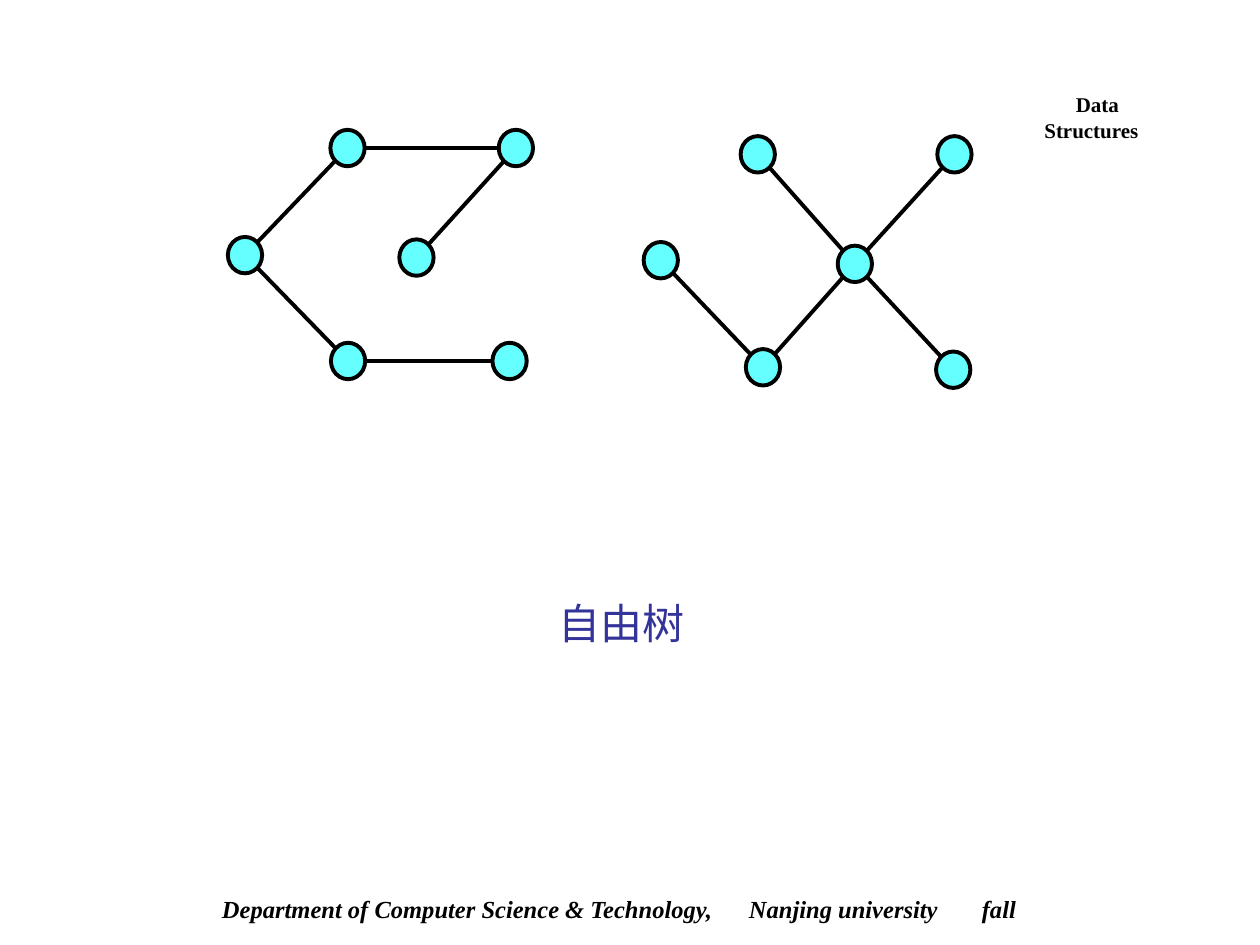
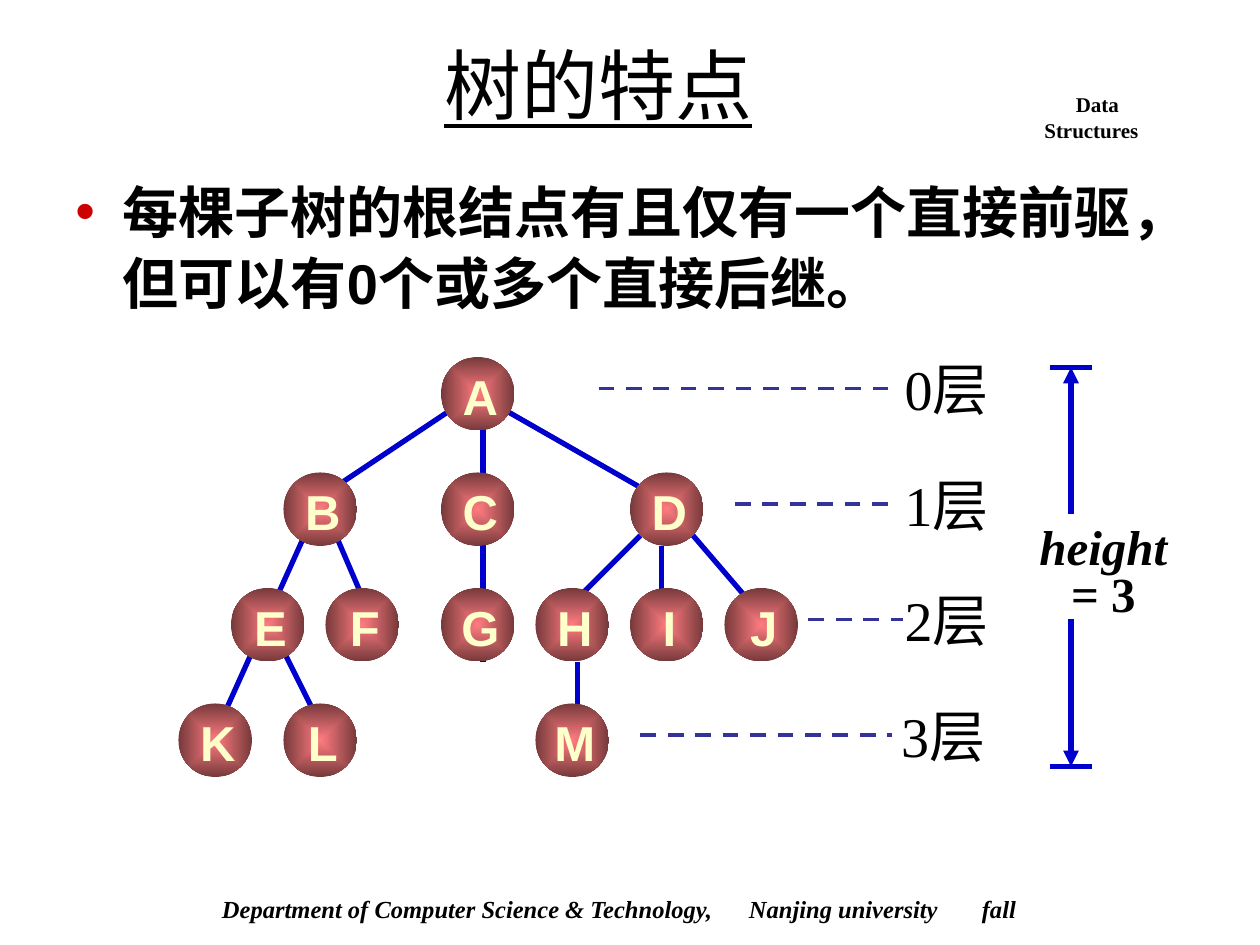
import dataclasses
import math

import lxml.etree
import pptx
import pptx.dml.color
import pptx.enum.dml
import pptx.enum.shapes
import pptx.enum.text
import pptx.oxml.ns
import pptx.util

Pt = pptx.util.Pt
RGB = pptx.dml.color.RGBColor.from_string
qn = pptx.oxml.ns.qn
SubElement = lxml.etree.SubElement
ALIGN = pptx.enum.text.PP_ALIGN
ANCHOR = pptx.enum.text.MSO_ANCHOR
OVAL = pptx.enum.shapes.MSO_SHAPE.OVAL


@dataclasses.dataclass(frozen=True)
class Theme:
    sans: str = "Arial"
    serif: str = "Times New Roman"
    ink: str = "000000"
    caption: str = "333399"
    node: str = "66FFFF"
    glow: str = "FF7C80"
    rim: str = "76393B"
    letter: str = "FFFFCC"
    branch: str = "0000CC"
    bullet: str = "CC0000"
    header_size: int = 12
    footer_size: int = 14
    caption_size: int = 24
    label_size: int = 28
    body_size: int = 32
    title_size: int = 44
    thin: float = 2.25
    thick: float = 3


theme = Theme()


def write_text(tf, text, size, font=theme.serif, color=theme.ink, bold=False, italic=False,
               underline=False, align=ALIGN.LEFT, anchor=ANCHOR.TOP, wrap=True, spacing=None):
    tf.word_wrap = wrap
    tf.auto_size = pptx.enum.text.MSO_AUTO_SIZE.NONE
    tf.vertical_anchor = anchor
    for i, line in enumerate(text.split("\n")):
        p = tf.add_paragraph() if i else tf.paragraphs[0]
        p.alignment = align
        p.line_spacing = spacing
        r = p.add_run()
        r.text = line
        r.font.name = font
        r.font.size = Pt(size)
        r.font.color.rgb = RGB(color)
        r.font.bold = bold
        r.font.italic = italic
        r.font.underline = underline


def add_line(s, x1, y1, x2, y2, color, width, dashed=False, arrow=False):
    line = s.shapes.add_connector(pptx.enum.shapes.MSO_CONNECTOR.STRAIGHT,
                                  Pt(x1), Pt(y1), Pt(x2), Pt(y2))
    line.line.color.rgb = RGB(color)
    line.line.width = Pt(width)
    if dashed:
        line.line.dash_style = pptx.enum.dml.MSO_LINE.DASH
    if arrow:
        SubElement(line.line._get_or_add_ln(), qn("a:tailEnd"), type="triangle")
    SubElement(line.element.spPr, qn("a:effectLst"))


prs = pptx.Presentation()
prs.slide_width, prs.slide_height = Pt(720), Pt(540)

titles = [
    ("自由树", (31, 337.7, 648, 51), theme.caption_size, theme.caption, False),
    ("树的特点", (36, 18, 612, 54), theme.title_size, theme.ink, True),
]
for title, (x, y, w, h), size, color, underline in titles:
    s = prs.slides.add_slide(prs.slide_layouts[5])
    sp = s.shapes.title
    sp.left, sp.top, sp.width, sp.height = Pt(x), Pt(y), Pt(w), Pt(h)
    write_text(sp.text_frame, title, size, font=theme.sans, color=color,
               underline=underline, align=ALIGN.CENTER)

    header = s.shapes.add_textbox(Pt(589.7), Pt(49), Pt(99.4), Pt(36)).text_frame
    write_text(header, "Data\nStructures", theme.header_size, bold=True)
    header.paragraphs[0]._p.get_or_add_pPr().set("marL", str(Pt(18)))

    footer = s.shapes.add_textbox(Pt(59), Pt(507.6), Pt(600.5), Pt(24.5)).text_frame
    write_text(footer, "Department of Computer Science & Technology,\tNanjing university\tfall",
               theme.footer_size, bold=True, italic=True)
    footer.margin_left = Pt(67.9)
    tabs = SubElement(footer.paragraphs[0]._p.get_or_add_pPr(), qn("a:tabLst"))
    for stop in (301.1, 434.2):
        SubElement(tabs, qn("a:tab"), pos=str(Pt(stop)), algn="l")

free_slide, tree_slide = prs.slides

free_nodes = {
    "left top right": (294.8, 84.6), "left top": (198.6, 84.6), "left end": (140, 145.8),
    "left inner": (238, 147.2), "left bottom": (198.9, 206.3), "left bottom right": (291.2, 206.3),
    "right top": (433, 88.2), "right end": (377.6, 148.7), "right bottom": (436, 209.9),
    "right top right": (545.4, 88.2), "right hub": (488.5, 150.8), "right bottom right": (544.7, 211.3),
}
free_edges = [
    ("left top", "left top right"), ("left top", "left end"), ("left top right", "left inner"),
    ("left end", "left bottom"), ("left bottom", "left bottom right"),
    ("right bottom", "right hub"), ("right top", "right hub"), ("right end", "right bottom"),
    ("right hub", "right bottom right"), ("right top right", "right hub"),
]
trim = 9
for start, end in free_edges:
    (x1, y1), (x2, y2) = free_nodes[start], free_nodes[end]
    length = math.hypot(x2 - x1, y2 - y1)
    dx, dy = trim * (x2 - x1) / length, trim * (y2 - y1) / length
    add_line(free_slide, x1 + dx, y1 + dy, x2 - dx, y2 - dy, theme.ink, theme.thin)

node_w, node_h = 19.6, 20.8
for x, y in free_nodes.values():
    sp = free_slide.shapes.add_shape(OVAL, Pt(x - node_w / 2), Pt(y - node_h / 2),
                                     Pt(node_w), Pt(node_h))
    sp.shadow.inherit = False
    sp.fill.solid()
    sp.fill.fore_color.rgb = RGB(theme.node)
    sp.line.color.rgb = RGB(theme.ink)
    sp.line.width = Pt(theme.thin)

body = tree_slide.shapes.add_textbox(Pt(36), Pt(96), Pt(642), Pt(102)).text_frame
write_text(body, "每棵子树的根结点有且仅有一个直接前驱，但可以有0个或多个直接后继。",
           theme.body_size, font=theme.sans, bold=True, spacing=1.05)
pPr = body.paragraphs[0]._p.get_or_add_pPr()
pPr.set("marL", str(Pt(27)))
pPr.set("indent", str(Pt(-27)))
SubElement(SubElement(pPr, qn("a:buClr")), qn("a:srgbClr"), val=theme.bullet)
SubElement(pPr, qn("a:buFont"), typeface=theme.sans)
SubElement(pPr, qn("a:buChar"), char="•")

branches = [
    (396, 306, 432, 348), (366, 306, 330, 342), (378, 312, 378, 342), (330, 378, 330, 414),
    (288, 234, 372, 282), (258, 234, 186, 282), (276, 240, 276, 378), (192, 306, 210, 348),
    (162, 372, 180, 408), (174, 306, 120, 426),
]
for branch in branches:
    add_line(tree_slide, *branch, theme.branch, theme.thick)

levels = [
    ({"A": 252}, 342, 510, 506),
    ({"B": 162, "C": 252, "D": 360}, 420, 510, 506),
    ({"E": 132, "F": 186, "G": 252, "H": 306, "I": 360, "J": 414}, 462, 516, 506),
    ({"K": 102, "L": 162, "M": 306}, 366, 510, 504),
]
first_top, pitch, diameter = 204, 66, 42
for level, (nodes, dash_start, dash_end, label_left) in enumerate(levels):
    top = first_top + level * pitch
    for letter, left in nodes.items():
        sp = tree_slide.shapes.add_shape(OVAL, Pt(left), Pt(top), Pt(diameter), Pt(diameter))
        sp.shadow.inherit = False
        sp.line.fill.background()
        sp.fill.gradient()
        for stop, color in zip(sp.fill.gradient_stops, (theme.glow, theme.rim)):
            stop.color.rgb = RGB(color)
        grad = sp.element.spPr.find(qn("a:gradFill"))
        grad.remove(grad.find(qn("a:lin")))
        focus = SubElement(grad, qn("a:path"))
        focus.set("path", "rect")
        SubElement(focus, qn("a:fillToRect"), l="50000", t="50000", r="50000", b="50000")
        tf = sp.text_frame
        tf.margin_left, tf.margin_right, tf.margin_top, tf.margin_bottom = Pt(3), 0, Pt(2), 0
        write_text(tf, letter, theme.label_size, font=theme.sans, color=theme.letter, bold=True,
                   align=ALIGN.CENTER, anchor=ANCHOR.MIDDLE, wrap=False)
    add_line(tree_slide, dash_start, top + 18, dash_end, top + 18,
             theme.caption, theme.thin, dashed=True)
    label = tree_slide.shapes.add_textbox(Pt(label_left), Pt(top - 5), Pt(70), Pt(46))
    write_text(label.text_frame, f"{level}层", theme.body_size,
               align=ALIGN.CENTER, anchor=ANCHOR.MIDDLE, wrap=False)

height = tree_slide.shapes.add_textbox(Pt(571), Pt(298), Pt(119), Pt(61)).text_frame
write_text(height, "height\n= 3", theme.label_size, bold=True, italic=True,
           align=ALIGN.CENTER, anchor=ANCHOR.MIDDLE, spacing=0.8)
height.paragraphs[1].runs[0].font.italic = False

for inner, outer in ((294, 210), (354, 438)):
    add_line(tree_slide, 600, outer, 624, outer, theme.branch, theme.thick)
    add_line(tree_slide, 612, inner, 612, outer, theme.branch, theme.thick, arrow=True)

prs.save("out.pptx")
